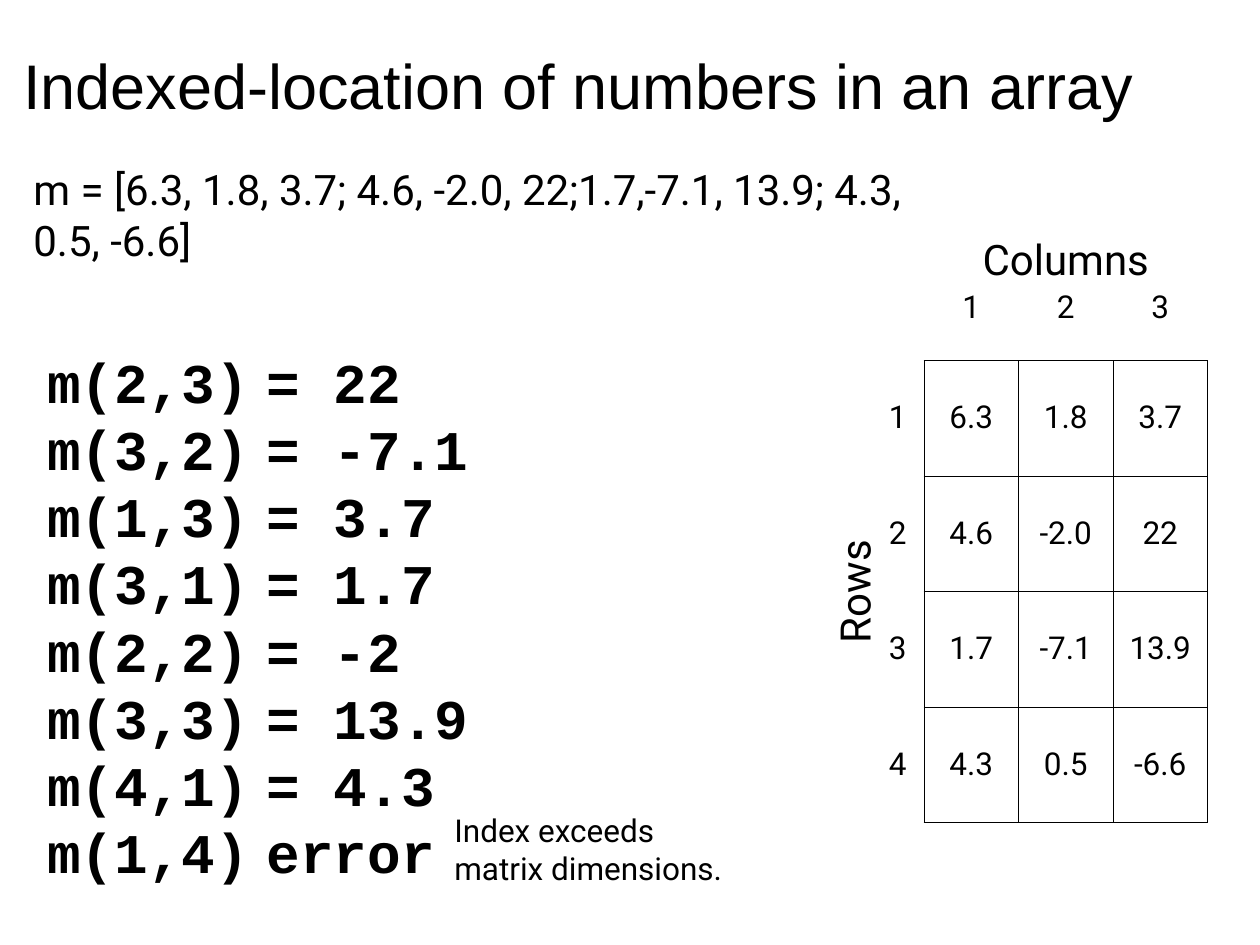
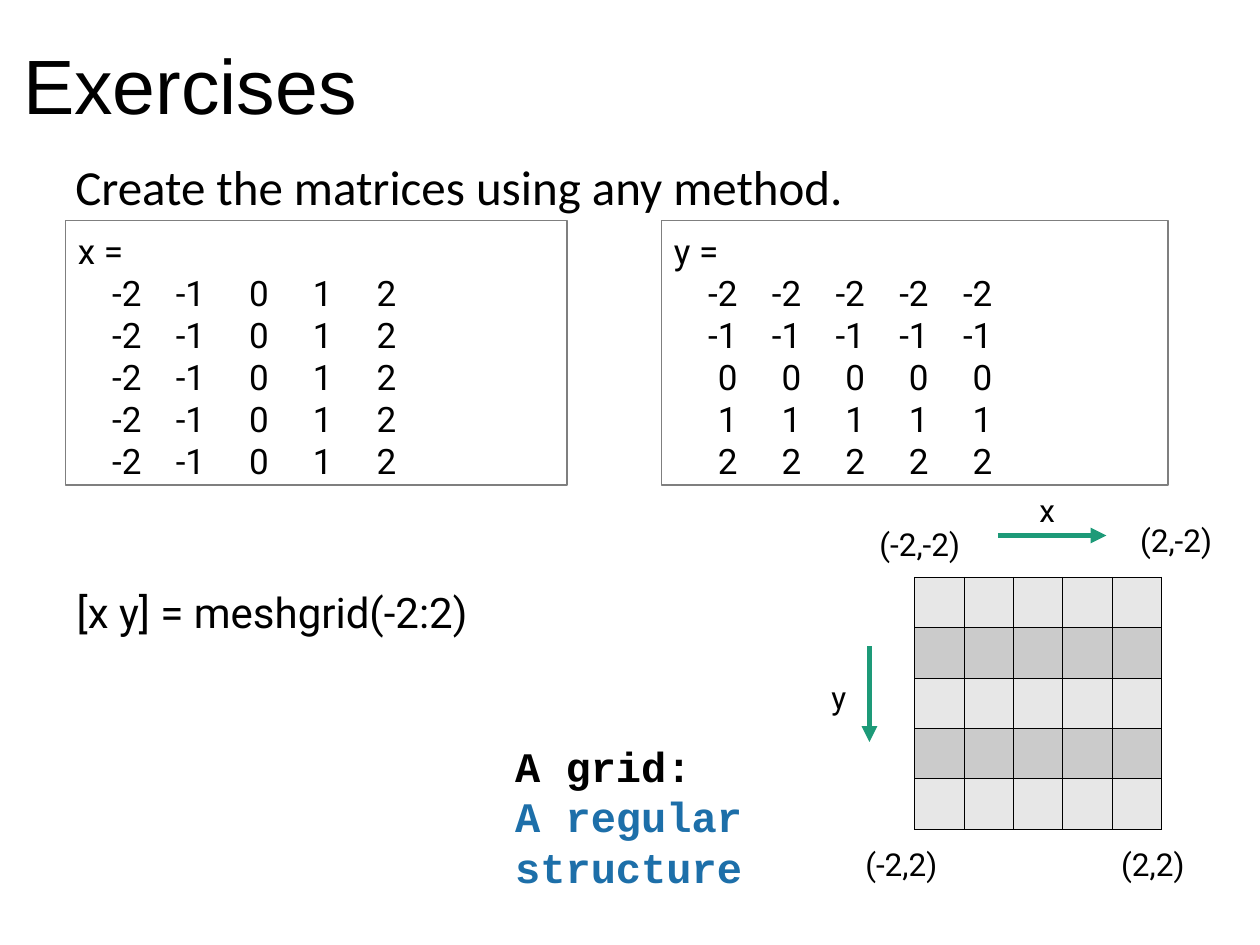
from dataclasses import dataclass
from typing import Optional

from lxml import etree
from pptx import Presentation
from pptx.dml.color import RGBColor
from pptx.enum import shapes, text
from pptx.oxml import ns
from pptx.util import Pt


@dataclass(frozen=True)
class Theme:
    black: str = "000000"
    white: str = "FFFFFF"
    grey: str = "7F7F7F"
    light: str = "E7E7E7"
    dark: str = "CBCBCB"
    blue: str = "1D6FA9"
    green: str = "1D9A78"
    head: str = "Arial"
    body: str = "Roboto"
    lead: str = "Calibri"
    code: str = "Courier New"
    small: int = 18
    mid: int = 20
    large: int = 24
    intro: int = 28
    mono: int = 32
    rule: float = 0.45


T = Theme()
LEFT, MID = text.PP_ALIGN.LEFT, text.PP_ALIGN.CENTER


@dataclass(frozen=True)
class Label:
    """A block of text; left, top, width and height are in points."""
    words: str
    left: float
    top: float
    width: float
    height: float
    size: int = T.small
    font: str = T.body
    bold: bool = False
    align: text.PP_ALIGN = LEFT
    turn: int = 0
    pitch: float = 1.2          # line height per point of type
    edge: Optional[str] = None  # outline colour
    tabs: int = 0               # count of right tab stops
    tint: Optional[str] = None  # colour of all lines after the first


@dataclass(frozen=True)
class Arrow:
    left: float
    top: float
    right: float
    bottom: float


# Text helpers
def style(para, size: int, font: str, color: str = T.black,
          bold: bool = False) -> None:
    for run in para.runs:
        run.font.size = Pt(size)
        run.font.name = font
        run.font.bold = bold
        run.font.color.rgb = RGBColor.from_string(color)


def add_tabs(para, count: int, step: float = 36.4) -> None:
    stops = etree.SubElement(para._p.get_or_add_pPr(), ns.qn("a:tabLst"))
    for i in range(1, count + 1):
        etree.SubElement(stops, ns.qn("a:tab"), pos=str(Pt(step * i)), algn="r")


def add_label(slide, item: Label) -> None:
    area = [Pt(v) for v in (item.left, item.top, item.width, item.height)]
    if item.edge:
        box = slide.shapes.add_shape(shapes.MSO_SHAPE.RECTANGLE, *area)
        box.shadow.inherit = False
        box.fill.background()
        box.line.color.rgb = RGBColor.from_string(item.edge)
        box.line.width = Pt(0.75)
    else:
        box = slide.shapes.add_textbox(*area)
    box.rotation = item.turn
    frame = box.text_frame
    frame.word_wrap = True
    frame.auto_size = text.MSO_AUTO_SIZE.NONE
    frame.vertical_anchor = text.MSO_ANCHOR.TOP
    frame.margin_top = Pt(round(3.6 + 0.08 * item.size, 1))
    frame.text = item.words
    for i, para in enumerate(frame.paragraphs):
        para.alignment = item.align
        para.line_spacing = Pt(round(item.pitch * item.size, 1))
        if item.tabs:
            add_tabs(para, item.tabs)
        color = item.tint if i and item.tint else T.black
        style(para, item.size, item.font, color, item.bold)


def add_page(deck, title: str, size: int):
    slide = deck.slides.add_slide(deck.slide_layouts[5])
    slide.background.fill.solid()
    slide.background.fill.fore_color.rgb = RGBColor.from_string(T.white)
    head = slide.shapes.title
    head.left, head.top, head.width, head.height = Pt(6), Pt(6), Pt(708), Pt(90)
    frame = head.text_frame
    frame.text = title
    frame.auto_size = text.MSO_AUTO_SIZE.NONE
    frame.vertical_anchor = text.MSO_ANCHOR.MIDDLE
    para = frame.paragraphs[0]
    para.alignment = LEFT
    para.line_spacing = 0.9
    style(para, size, T.head)
    return slide


# Table and arrow helpers
def add_edges(cell, sides: str) -> None:
    """Rule the named sides (of L, R, T, B) and clear the others."""
    props = cell._tc.get_or_add_tcPr()
    for i, side in enumerate("LRTB"):
        line = etree.Element(ns.qn(f"a:ln{side}"), w=str(Pt(T.rule)))
        props.insert(i, line)
        if side in sides:
            fill = etree.SubElement(line, ns.qn("a:solidFill"))
            etree.SubElement(fill, ns.qn("a:srgbClr"), val=T.black)
        else:
            etree.SubElement(line, ns.qn("a:noFill"))


def add_grid(slide, left: float, top: float, cols: list[float],
             rows: list[float]):
    grid = slide.shapes.add_table(len(rows), len(cols), Pt(left), Pt(top),
                                  Pt(sum(cols)), Pt(sum(rows))).table
    grid.first_row = grid.horz_banding = False
    for col, width in zip(grid.columns, cols):
        col.width = Pt(width)
    for row, height in zip(grid.rows, rows):
        row.height = Pt(height)
    return grid


def add_arrow(slide, item: Arrow) -> None:
    line = slide.shapes.add_connector(
        shapes.MSO_CONNECTOR.STRAIGHT, Pt(item.left), Pt(item.top),
        Pt(item.right), Pt(item.bottom))
    line.line.color.rgb = RGBColor.from_string(T.green)
    line.line.width = Pt(3)
    etree.SubElement(line.line._get_or_add_ln(), ns.qn("a:tailEnd"),
                     type="triangle")
    etree.SubElement(line._element.spPr, ns.qn("a:effectLst"))


# Slide 1: reading numbers by row and column
MATRIX = [["6.3", "1.8", "3.7"], ["4.6", "-2.0", "22"],
          ["1.7", "-7.1", "13.9"], ["4.3", "0.5", "-6.6"]]
CALLS = [("m(2,3)", "= 22"), ("m(3,2)", "= -7.1"), ("m(1,3)", "= 3.7"),
         ("m(3,1)", "= 1.7"), ("m(2,2)", "= -2"), ("m(3,3)", "= 13.9"),
         ("m(4,1)", "= 4.3"), ("m(1,4)", "error")]


def draw_index(deck) -> None:
    slide = add_page(deck, "Indexed-location of numbers in an array", 36)
    for names, left in zip(zip(*CALLS), (20, 145.4)):
        add_label(slide, Label("\n".join(names), left, 192.2, 160, 315,
                               T.mono, T.code, True))

    # Matrix with its row and column numbers
    cells = [["", "1", "2", "3"]]
    cells += [[str(n), *row] for n, row in enumerate(MATRIX, 1)]
    grid = add_grid(slide, 498, 146, [30, 54, 54, 54], [60] + [66] * 4)
    for r, row in enumerate(cells):
        for c, words in enumerate(row):
            cell = grid.cell(r, c)
            cell.fill.background()
            cell.vertical_anchor = text.MSO_ANCHOR.MIDDLE
            cell.text_frame.text = words
            para = cell.text_frame.paragraphs[0]
            para.alignment = MID
            style(para, T.small, T.body)
            sides = "LRTB" if r and c else "R" if r else "B" if c else ""
            add_edges(cell, sides)

    for item in (
        Label("Columns", 528, 128, 162, 36, T.large, align=MID),
        Label("Rows", 354, 320, 264, 36, T.large, align=MID, turn=270),
        Label("m = [6.3, 1.8, 3.7; 4.6, -2.0, 22;1.7,-7.1, 13.9; "
              "4.3, 0.5, -6.6]", 12, 88, 553, 65, T.large),
        Label("Index exceeds\nmatrix dimensions.", 252.6, 458.6, 186, 51),
    ):
        add_label(slide, item)


# Slide 2: the x and y matrices and the grid they span
def list_rows(name: str, rows: list[list[int]]) -> str:
    lines = ["".join(f"\t{n}" for n in row) for row in rows]
    return "\n".join([f"{name} =", *lines])


def draw_tasks(deck) -> None:
    slide = add_page(deck, "Exercises", 44)
    add_label(slide, Label("Create the matrices using any method.", 36, 86.4,
                           642, 60, T.intro, T.lead, pitch=1.1))

    # Matrices
    span = range(-2, 3)
    across = [list(span) for _ in span]
    down = [[n] * len(span) for n in span]
    for name, rows, left, width in (("x", across, 37.4, 286.6),
                                    ("y", down, 378, 289.4)):
        add_label(slide, Label(list_rows(name, rows), left, 126, width, 151.2,
                               T.mid, edge=T.grey, tabs=len(span)))

    # Banded grid
    grid = add_grid(slide, 522.7, 329.8, [28.2] * 5, [28.8] * 5)
    for i, cell in enumerate(grid.iter_cells()):
        shade = T.dark if i // 5 % 2 else T.light
        cell.margin_top = cell.margin_bottom = 0
        cell.fill.solid()
        cell.fill.fore_color.rgb = RGBColor.from_string(shade)
        add_edges(cell, "LRTB")

    # Command, caption, corners and axis names
    for item in (
        Label("[x y] = meshgrid(-2:2)", 36.7, 329.8, 265, 36, T.large),
        Label("A grid:\nA regular structure", 287.3, 417.6, 181.4, 93.6,
              T.large, T.code, True, tint=T.blue),
        Label("(-2,2)", 487.4, 478, 66, 29),
        Label("(2,2)", 633.6, 478, 66, 29),
        Label("(2,-2)", 644.4, 293, 66, 29),
        Label("(-2,-2)", 495.4, 295.2, 70, 29),
        Label("x", 586.8, 275.8, 30, 29),
        Label("y", 468, 382.3, 30, 29),
    ):
        add_label(slide, item)
    for item in (Arrow(570.2, 306, 632.2, 306), Arrow(496.8, 369.4, 496.8, 424)):
        add_arrow(slide, item)


def main() -> None:
    deck = Presentation()
    deck.slide_width, deck.slide_height = Pt(720), Pt(540)
    draw_index(deck)
    draw_tasks(deck)
    deck.save("out.pptx")


if __name__ == "__main__":
    main()
